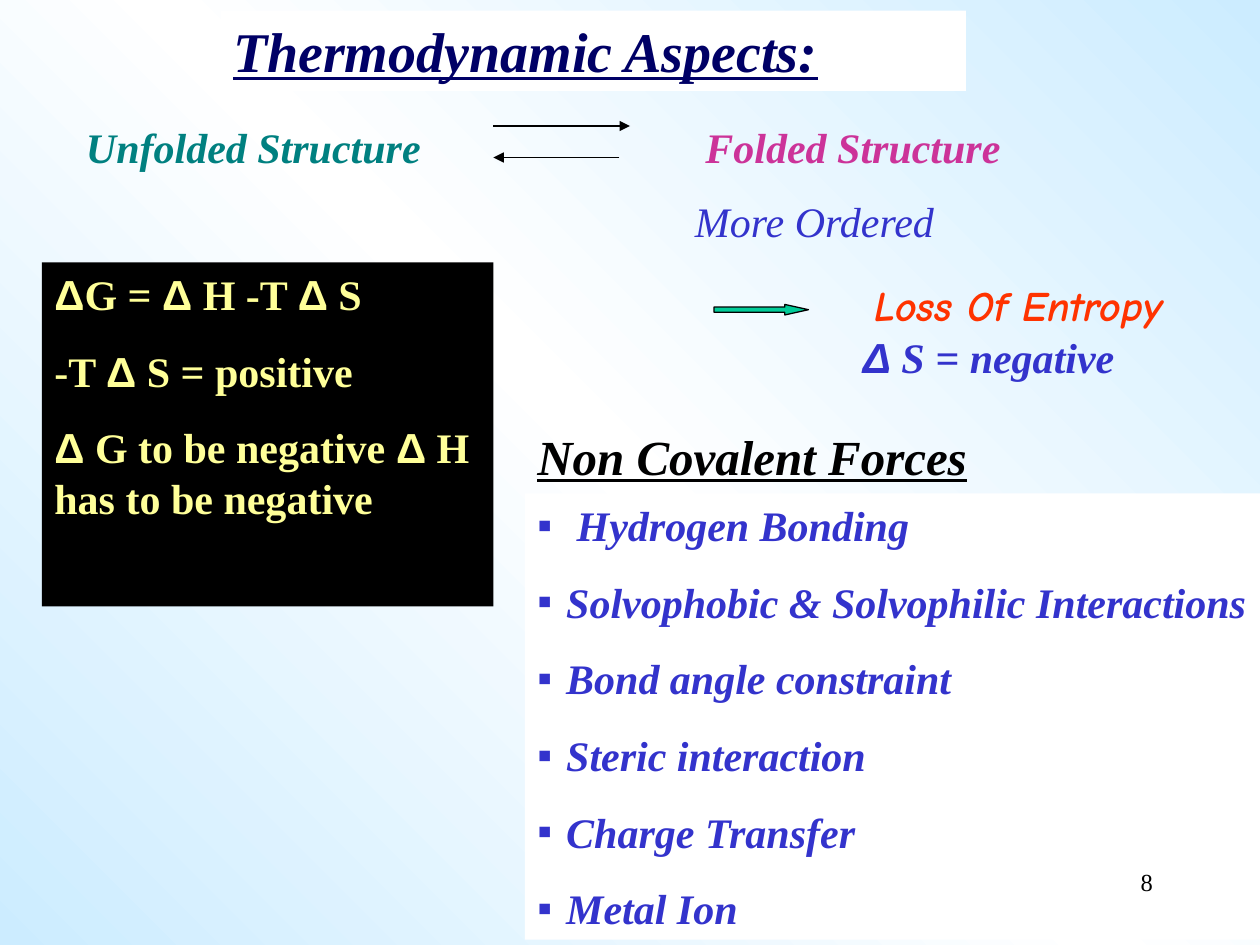
from copy import deepcopy
from itertools import groupby

from lxml import etree
from pptx import Presentation
from pptx.dml import color
from pptx.enum import shapes, text
from pptx.oxml import ns
from pptx.util import Pt


def paint(code):
    return color.RGBColor.from_string(code)


def add(parent, tag, **attrs):
    return etree.SubElement(parent, ns.qn(tag), **attrs)


class Board:
    serif = "Times New Roman"
    symbol = "Arial"
    blue = "3333CC"
    size = 24

    def __init__(self, deck):
        self.slide = deck.slides.add_slide(deck.slide_layouts[5])

    def back(self, edge, mid):
        fill = self.slide.background.fill
        fill.gradient()
        fill.gradient_angle = 225
        stops = self.slide.element.find(".//" + ns.qn("a:gsLst"))
        stops.insert(1, deepcopy(stops[0]))
        codes = (edge, mid, edge)
        for stop, code, place in zip(fill.gradient_stops, codes, (0, 0.5, 1)):
            stop.color.rgb = paint(code)
            stop.position = place

    def bullet(self, para, mark, ink):
        props = para._p.get_or_add_pPr()
        props.set("marL", str(Pt(16.5)))
        props.set("indent", str(-Pt(16.5)))
        tint = add(props, "a:buClr")
        add(tint, "a:srgbClr", val=ink)
        add(props, "a:buFont", typeface=self.symbol)
        add(props, "a:buChar", char=mark)

    def letter(self, shape, lines, ink, size=size, font=serif, bold=True,
               italic=True, under=False, wrap=True, mark=None,
               align=text.PP_ALIGN.LEFT):
        frame = shape.text_frame
        frame.word_wrap = wrap
        frame.auto_size = text.MSO_AUTO_SIZE.NONE
        frame.vertical_anchor = text.MSO_ANCHOR.TOP
        for num, line in enumerate(lines):
            para = frame.add_paragraph() if num else frame.paragraphs[0]
            para.alignment = align
            para.space_before = Pt(15 if num else 0)
            if mark:
                self.bullet(para, mark, ink)
            for delta, chars in groupby(line, lambda char: char == "Δ"):
                run = para.add_run()
                run.text = "".join(chars)
                face = run.font
                face.name = self.symbol if delta else font
                face.size = Pt(size)
                face.bold, face.italic, face.underline = bold, italic, under
                face.color.rgb = paint(ink)

    def title(self, box, line, ink, fill, size):
        shape = self.slide.shapes.title
        shape.left, shape.top, shape.width, shape.height = map(Pt, box)
        shape.fill.solid()
        shape.fill.fore_color.rgb = paint(fill)
        self.letter(shape, [line], ink, size=size, under=True)

    def label(self, box, line, ink, **style):
        shape = self.slide.shapes.add_textbox(*map(Pt, box))
        self.letter(shape, [line], ink, **style)

    def shape(self, kind, box, fill):
        shape = self.slide.shapes.add_shape(kind, *map(Pt, box))
        shape.shadow.inherit = False
        shape.fill.solid()
        shape.fill.fore_color.rgb = paint(fill)
        shape.line.fill.background()
        return shape

    def panel(self, box, fill, lines, ink, **style):
        shape = self.shape(shapes.MSO_SHAPE.RECTANGLE, box, fill)
        self.letter(shape, lines, ink, **style)

    def block(self, box, fill, ink):
        shape = self.shape(shapes.MSO_SHAPE.RIGHT_ARROW, box, fill)
        shape.adjustments[1] = 2.25
        shape.line.color.rgb = paint(ink)
        shape.line.width = Pt(0.75)

    def arrow(self, start, end, ink):
        link = self.slide.shapes.add_connector(
            shapes.MSO_CONNECTOR.STRAIGHT, *map(Pt, start + end))
        link.line.color.rgb = paint(ink)
        link.line.width = Pt(0.75)
        props = link._element.spPr
        add(props.find(ns.qn("a:ln")), "a:tailEnd", type="triangle")
        add(props, "a:effectLst")


def main():
    deck = Presentation()
    deck.slide_width, deck.slide_height = Pt(720), Pt(540)
    board = Board(deck)
    board.back("CCECFF", "FFFFFF")

    board.title((126, 6, 426, 46), "Thermodynamic Aspects:",
                "000066", "FFFFFF", 32)
    board.label((42, 66, 276, 36), "Unfolded Structure", "008080")
    board.arrow((282, 72), (360, 72), "000000")
    board.arrow((354, 90), (282, 90), "000000")
    board.label((396, 66, 192, 36), "Folded Structure", "CC3399")
    board.label((390, 108, 240, 36), "More Ordered", board.blue, bold=False)

    board.block((408, 174, 54, 6), "00CC99", "000000")
    board.label((492.5, 156, 180, 36), "Loss Of Entropy", "FF3300",
                font="Comic Neue", wrap=False)
    board.label((486, 186, 180, 36), "Δ S = negative", board.blue)

    board.panel((24, 150, 258, 196.5), "000000", [
        "ΔG = Δ H -T Δ S",
        "-T Δ S = positive",
        "Δ G to be negative Δ H has to be negative",
    ], "FFFF99", italic=False)

    board.label((300, 240, 318, 41), "Non Covalent Forces", "000000",
                size=28, under=True)
    board.panel((300, 282, 426, 255), "FFFFFF", [
        " Hydrogen Bonding",
        "Solvophobic & Solvophilic Interactions",
        "Bond angle constraint",
        "Steric interaction",
        "Charge Transfer",
        "Metal Ion",
    ], board.blue, mark="▪")
    board.label((516, 492, 150, 36), "8", "000000", size=14, bold=False,
                italic=False, align=text.PP_ALIGN.RIGHT)
    deck.save("out.pptx")


if __name__ == "__main__":
    main()
